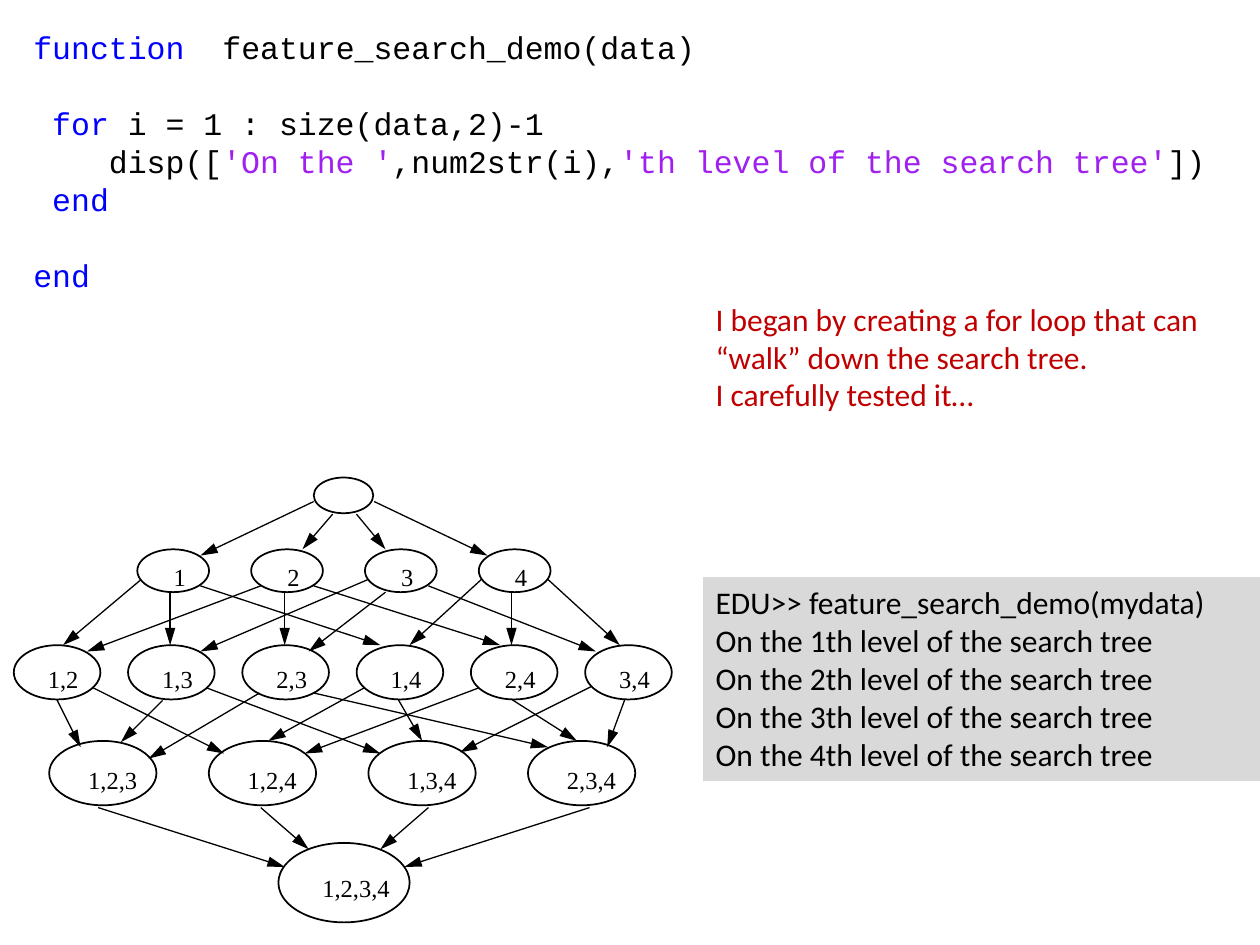
from dataclasses import dataclass
from lxml.etree import SubElement
from pptx import Presentation
from pptx.dml.color import RGBColor
from pptx.enum.shapes import MSO_CONNECTOR, MSO_SHAPE
from pptx.enum.text import MSO_ANCHOR, MSO_AUTO_SIZE, PP_ALIGN
from pptx.oxml.ns import qn
from pptx.util import Pt


@dataclass(frozen=True)
class Theme:
    ink: str = "000000"
    key: str = "0000FF"
    quote: str = "A020F0"
    note: str = "C00000"
    panel: str = "D9D9D9"
    body: str = "Calibri"
    mono: str = "Courier New"
    serif: str = "Times New Roman"
    size: float = 18
    small: float = 14
    char: float = 10.8
    pitch: float = 21.7
    edge: float = 0.75
    rim: float = 1


THEME = Theme()

CODE = [
    (0, 0, [("function  ", THEME.key), ("feature_search_demo(data)", THEME.ink)]),
    (1, 1, [("for ", THEME.key), ("i = 1 : size(data,2)-1", THEME.ink)]),
    (4, 0, [("disp([", THEME.ink), ("'On the '", THEME.quote),
            (",num2str(i),", THEME.ink),
            ("'th level of the search tree'", THEME.quote), ("])", THEME.ink)]),
    (1, 0, [("end", THEME.key)]),
    (0, 1, [("end", THEME.key)]),
]

LEVELS = [
    ([""], 171.4, 0, 34, 20.4, 0, 0, 0),
    (["1", "2", "3", "4"], 70.6, 41, 41, 24.5, 65.04, 13.6, 3.6),
    (["1,2", "1,3", "2,3", "1,4", "2,4", "3,4"],
     0, 95.8, 49.5, 31, 65.3, 12.4, 7.2),
    (["1,2,3", "1,2,4", "1,3,4", "2,3,4"],
     20.2, 150.5, 61.3, 36.8, 91.2, 15.2, 10.1),
    (["1,2,3,4"], 151.2, 208.8, 75, 45.4, 0, 18, 13.7),
]

EDGES = [
    (171.4, 13.7, 106.6, 44.6), (205.9, 13.7, 270.7, 44.6),
    (182.2, 20.9, 164.9, 41), (195.8, 20.9, 212.4, 41),
    (72.7, 58.3, 28.1, 95.8), (89.3, 65.5, 89.3, 95.8),
    (106.6, 61.9, 209.5, 95.8), (141.1, 61.9, 41.8, 99.4),
    (154.8, 65.5, 154.8, 95.8), (171.4, 61.9, 277.9, 95.8),
    (202.3, 58.3, 106.6, 99.4), (212.4, 65.5, 168.5, 99.4),
    (236.9, 61.9, 332.6, 99.4), (267.1, 58.3, 226.1, 95.8),
    (284.4, 65.5, 284.4, 95.8), (305.3, 58.3, 346.3, 95.8),
    (24.5, 126.7, 38.2, 154.1), (45.4, 120.2, 120.2, 157.7),
    (85, 127.4, 61.2, 151.2), (110.2, 120.2, 209.5, 157.7),
    (140.4, 123.1, 77, 160.6), (171.4, 123.1, 305.3, 154.1),
    (200.2, 120.2, 145.4, 150.5), (219.6, 126.7, 233.3, 150.5),
    (265.7, 120.2, 166.3, 157.7), (284.4, 126.7, 321.8, 150.5),
    (329.8, 119.5, 254.9, 157), (349.2, 126.7, 339.1, 154.1),
    (48.2, 188.6, 154.8, 222.5), (329, 188.6, 223.2, 222.5),
    (141.1, 188.6, 168.5, 212.4), (236.9, 188.6, 209.5, 212.4),
]


def add_run(para, text, font=THEME.body, size=THEME.size, color=THEME.ink):
    run = para.add_run()
    run.text = text
    run.font.name = font
    run.font.size = Pt(size)
    run.font.color.rgb = RGBColor.from_string(color)


def add_box(slide, box, wrap=True):
    shape = slide.shapes.add_textbox(*map(Pt, box))
    shape.text_frame.word_wrap = wrap
    shape.text_frame.auto_size = MSO_AUTO_SIZE.SHAPE_TO_FIT_TEXT
    return shape.text_frame


def add_paras(frame, items):
    for index, item in enumerate(items):
        para = frame.add_paragraph() if index else frame.paragraphs[0]
        para.alignment = PP_ALIGN.LEFT
        yield para, item


def add_code(slide, box):
    for para, (indent, gap, runs) in add_paras(add_box(slide, box), CODE):
        para.line_spacing = Pt(THEME.pitch)
        para.space_before = Pt(gap * THEME.pitch)
        props = para._p.get_or_add_pPr()
        props.set("marL", str(Pt(indent * THEME.char)))
        props.set("indent", "0")
        for text, color in runs:
            add_run(para, text, font=THEME.mono, color=color)


def add_note(slide, box):
    lines = ["I began by creating a for loop that can “walk” down the search tree.",
             "I carefully tested it…"]
    for para, text in add_paras(add_box(slide, box), lines):
        add_run(para, text, color=THEME.note)


def add_panel(slide, box):
    shape = slide.shapes.add_shape(MSO_SHAPE.RECTANGLE, *map(Pt, box))
    shape.shadow.inherit = False
    shape.fill.solid()
    shape.fill.fore_color.rgb = RGBColor.from_string(THEME.panel)
    shape.line.fill.background()
    frame = shape.text_frame
    frame.word_wrap = True
    frame.vertical_anchor = MSO_ANCHOR.TOP
    lines = ["EDU>> feature_search_demo(mydata)"]
    lines += [f"On the {level}th level of the search tree" for level in range(1, 5)]
    for para, text in add_paras(frame, lines):
        add_run(para, text)


def add_edge(slide, ends):
    edge = slide.shapes.add_connector(MSO_CONNECTOR.STRAIGHT, *map(Pt, ends))
    edge.line.color.rgb = RGBColor.from_string(THEME.ink)
    edge.line.width = Pt(THEME.edge)
    SubElement(edge.line._get_or_add_ln(), qn("a:tailEnd"),
               type="triangle", w="med", len="lg")
    SubElement(edge._element.spPr, qn("a:effectLst"))


def add_node(slide, box):
    node = slide.shapes.add_shape(MSO_SHAPE.OVAL, *map(Pt, box))
    node.shadow.inherit = False
    node.fill.background()
    node.line.color.rgb = RGBColor.from_string(THEME.ink)
    node.line.width = Pt(THEME.rim)


def add_tree(slide, box):
    left, top, width, height = box
    across, down = width / 376, height / 254
    for x, y, tip, foot in EDGES:
        add_edge(slide, (left + x * across, top + y * down,
                         left + tip * across, top + foot * down))
    for names, x, y, wide, high, step, inset, drop in LEVELS:
        for index, name in enumerate(names):
            start = left + (x + index * step) * across
            head = top + y * down
            add_node(slide, (start, head, wide * across, high * down))
            if name:
                span = 16.2 + 5.3 * len(name)
                frame = add_box(slide, (start + inset * across, head + drop * down,
                                        span, 24.2), wrap=False)
                add_run(frame.paragraphs[0], name,
                        font=THEME.serif, size=THEME.small)


def main():
    deck = Presentation()
    deck.slide_width, deck.slide_height = Pt(720), Pt(540)
    slide = deck.slides.add_slide(deck.slide_layouts[6])
    add_code(slide, (12, 12.2, 762, 160))
    add_tree(slide, (7.9, 272.9, 376, 254))
    add_panel(slide, (401.8, 329.8, 318.2, 116.6))
    add_note(slide, (401.8, 167.8, 293.8, 72.7))
    deck.save("out.pptx")


if __name__ == "__main__":
    main()
